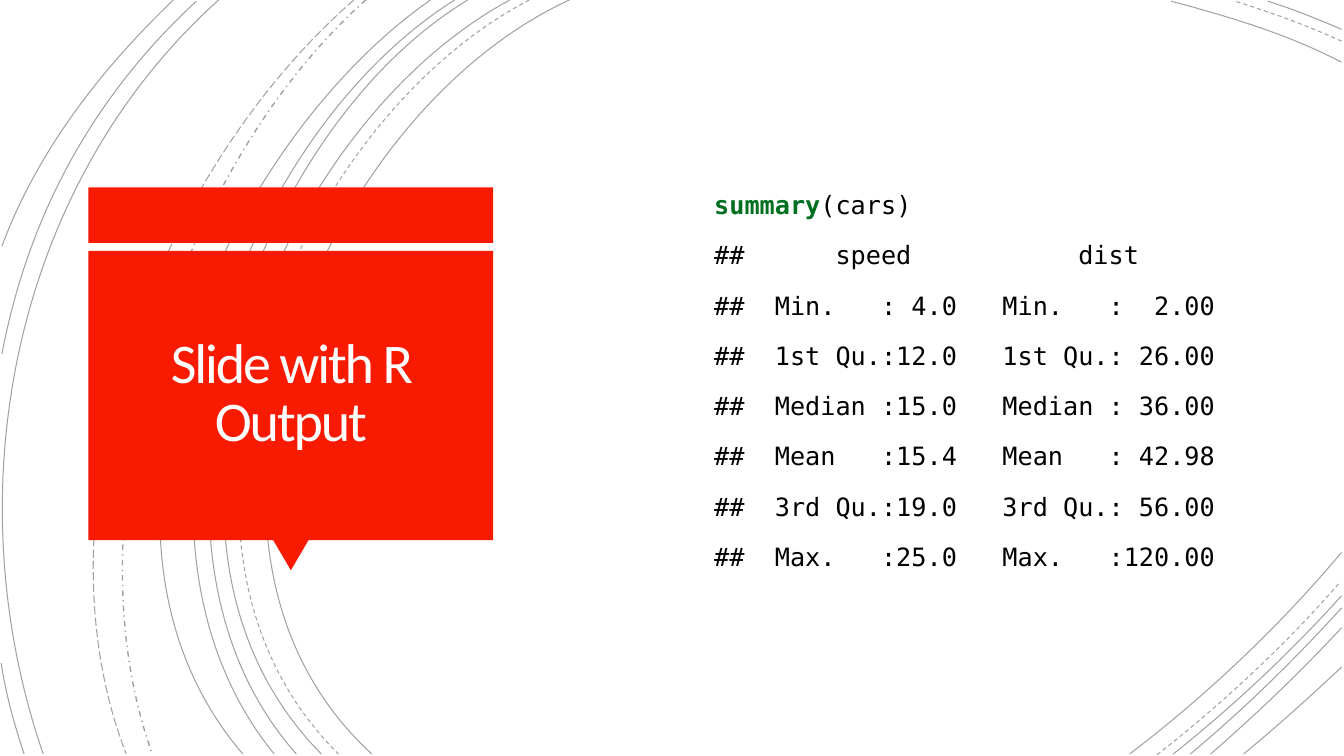
from pptx import Presentation
from pptx.dml.color import RGBColor as Rgb
from pptx.enum.dml import MSO_LINE as Dash
from pptx.enum.shapes import MSO_SHAPE as Preset
from pptx.enum.text import MSO_ANCHOR as Anchor, PP_ALIGN as Align
from pptx.oxml.ns import qn
from pptx.util import Cm, Pt
from lxml.etree import SubElement

COLORS = {"arc": "000000", "card": "F81B02", "title": "FFFEFF",
          "function": "007020", "code": "000000"}
ARC_OPACITY = 36
ARCS = {
    (Dash.SOLID, 0.75): [
        ((14.35, 0), (8, 2.92), (3.63, 13.72), (9.37, 19)),
        ((33.81, 1.57), (32.46, 0.86), (30.94, 0.41), (29.51, 0.03)),
        ((28.47, 19), (30.4, 17.53), (32.23, 15.8), (33.81, 13.92)),
        ((12.85, 0), (6.86, 3.23), (2.79, 13.64), (8.1, 19)),
        ((33.81, 0.74), (33.2, 0.48), (32.59, 0.23), (31.95, 0.03)),
        ((29.57, 19), (31.06, 17.81), (32.51, 16.46), (33.81, 15.01)),
        ((11.79, 0), (6.2, 3.38), (2.79, 13.74), (7.47, 19)),
        ((30, 19), (31.34, 17.88), (32.61, 16.64), (33.81, 15.32)),
        ((11.46, 0), (5.87, 3.51), (2.46, 13.54), (6.91, 19)),
        ((30.51, 19), (31.65, 18.01), (32.77, 16.94), (33.81, 15.82)),
        ((10.85, 0), (5.51, 3.73), (1.35, 13.44), (6.12, 19)),
        ((31.34, 19), (32.18, 18.31), (32.99, 17.58), (33.81, 16.81)),
        ((5.51, 0), (0.28, 4.7), (-1.17, 12.45), (1.09, 19)),
        ((4.95, 0.03), (2.34, 2.44), (0.71, 5.44), (0.05, 8.92)),
        ((0.03, 16.71), (0.15, 17.5), (0.36, 18.26), (0.61, 19)),
        ((4.37, 0), (2.54, 1.75), (0.94, 3.81), (0.05, 6.2)),
    ],
    (Dash.DASH, 0.75): [
        ((13.34, 0), (7.24, 3.18), (3.12, 13.64), (8.53, 19)),
        ((33.81, 1.04), (32.94, 0.64), (32, 0.3), (31.12, 0.03)),
        ((29.16, 19.02), (30.81, 17.73), (32.39, 16.26), (33.78, 14.66)),
    ],
    (Dash.DASH_DOT, 1): [((9.22, 0), (4.47, 4.22), (1.65, 12.93), (3.84, 19))],
    (Dash.LONG_DASH, 0.75): [((8.92, 0), (3.99, 4.29), (0.74, 12.67), (3.18, 19))],
}
CARS_SUMMARY = [
    ("Min.", "4.0", "2.00"), ("1st Qu.", "12.0", "26.00"),
    ("Median", "15.0", "36.00"), ("Mean", "15.4", "42.98"),
    ("3rd Qu.", "19.0", "56.00"), ("Max.", "25.0", "120.00"),
]


def color(name):
    """Return the named colour of the slide."""
    return Rgb.from_string(COLORS[name])


def bend(arc):
    """Turn the three straight segments of an arc into one cubic curve."""
    segments = list(arc._element.iter(qn("a:lnTo")))
    curve = SubElement(segments[0].getparent(), qn("a:cubicBezTo"))
    for segment in segments:
        curve.append(segment[0])
        segment.getparent().remove(segment)


def add_arcs(slide, left, top):
    """Draw the background arcs from the given corner."""
    arcs = slide.shapes.add_group_shape()
    for (dash, weight), curves in ARCS.items():
        for curve in curves:
            start, *rest = [(Cm(x), Cm(y)) for x, y in curve]
            outline = arcs.shapes.build_freeform(*start)
            outline.add_line_segments(rest, close=False)
            arc = outline.convert_to_shape(Cm(left), Cm(top))
            bend(arc)
            arc.shadow.inherit = False
            arc.fill.background()
            arc.line.color.rgb = color("arc")
            arc.line.width = Pt(weight)
            arc.line.dash_style = dash
            tone = arc.line._ln.find(".//" + qn("a:srgbClr"))
            SubElement(tone, qn("a:alpha")).set("val", str(ARC_OPACITY * 1000))


def add_text_area(slide, left, top, width, height):
    """Add a wrapping, vertically centred text box and return its frame."""
    frame = slide.shapes.add_textbox(Cm(left), Cm(top), Cm(width), Cm(height)).text_frame
    frame.word_wrap = True
    frame.vertical_anchor = Anchor.MIDDLE
    return frame


def add_run(paragraph, text, font, size, tone, bold=False):
    """Append a formatted run to the paragraph and return it."""
    run = paragraph.add_run()
    run.text = text
    run.font.name = font
    run.font.size = Pt(size)
    run.font.bold = bold
    run.font.color.rgb = color(tone)
    return run


def add_title_card(slide, left, top, width, height):
    """Draw the red banner, panel and pointer with the slide title."""
    banner_height, gap, pointer_width, pointer_height = 1.4, 0.2, 0.89, 0.76
    panel_top = top + banner_height + gap
    panel_height = height - banner_height - gap - pointer_height
    parts = [
        (Preset.RECTANGLE, left, top, width, banner_height, 0),
        (Preset.ISOSCELES_TRIANGLE, left + (width - pointer_width) / 2,
         panel_top + panel_height, pointer_width, pointer_height, 180),
        (Preset.RECTANGLE, left, panel_top, width, panel_height, 0),
    ]
    card = slide.shapes.add_group_shape()
    for preset, *box, turn in parts:
        part = card.shapes.add_shape(preset, *map(Cm, box))
        part.rotation = turn
        part.shadow.inherit = False
        part.fill.solid()
        part.fill.fore_color.rgb = color("card")
        part.line.fill.background()

    margin = 0.22
    frame = add_text_area(slide, left + margin, panel_top + margin,
                          width - 2 * margin, panel_height - 2 * margin)
    frame.margin_left = frame.margin_right = Cm(0.64)
    frame.margin_top = frame.margin_bottom = Cm(0.64)
    title = frame.paragraphs[0]
    title.alignment = Align.CENTER
    title.line_spacing = 0.85
    run = add_run(title, "Slide with R Output", "Calibri", 40, "title")
    run.font._element.set("spc", "-150")


def add_r_output(slide, left, top, width, height):
    """Write the R call and the summary it prints."""
    call = [("summary", "function", True), ("(cars)", "code", False)]
    printed = [f"##      {'speed':<16}dist"]
    printed += [f"##  {label:<7}:{speed:>4}   {label:<7}:{dist:>6}"
                for label, speed, dist in CARS_SUMMARY]
    lines = [call] + [[(text, "code", False)] for text in printed]
    frame = add_text_area(slide, left, top, width, height)
    for number, line in enumerate(lines):
        paragraph = frame.add_paragraph() if number else frame.paragraphs[0]
        paragraph.line_spacing = 1.2
        paragraph.space_before = Pt(10)
        paragraph._p.get_or_add_pPr().set("marL", str(Cm(3.53)))
        for text, tone, bold in line:
            add_run(paragraph, text, "DejaVu Sans Mono", 18, tone, bold)


def main():
    """Build the slide and save it."""
    deck = Presentation()
    deck.slide_width, deck.slide_height = Cm(33.87), Cm(19.05)
    slide = deck.slides.add_slide(deck.slide_layouts[6])
    add_arcs(slide, 0, 0)
    add_title_card(slide, 2.23, 4.72, 10.2, 9.65)
    add_r_output(slide, 14.22, 2.22, 17.45, 14.58)
    deck.save("out.pptx")


main()
